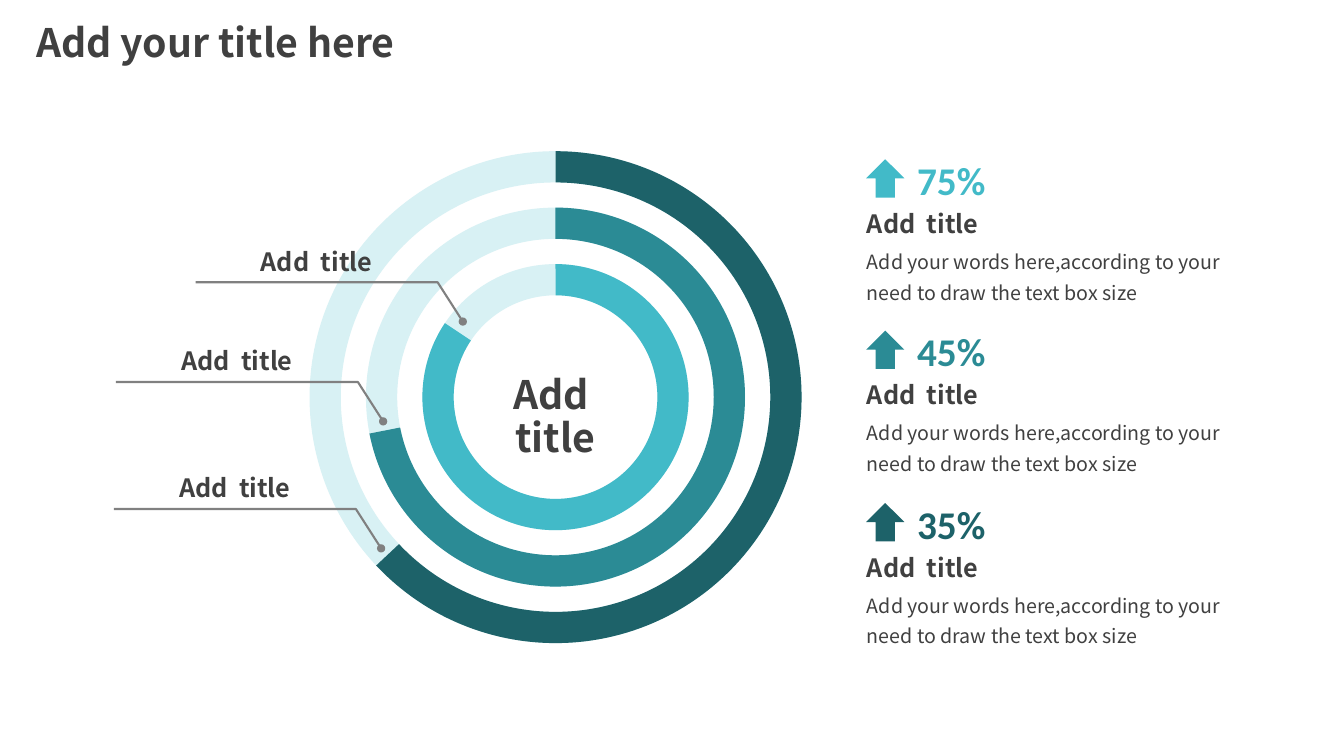
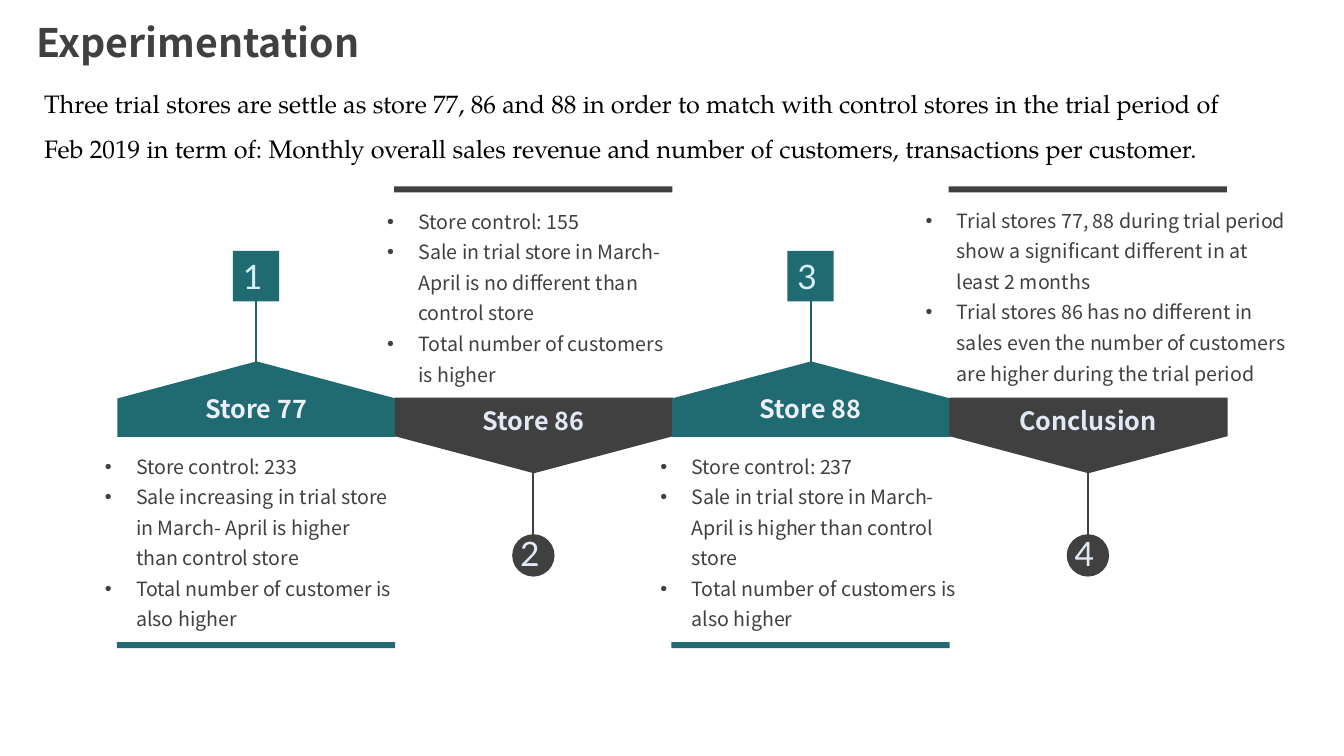
from dataclasses import dataclass

from lxml.etree import SubElement
from pptx import Presentation
from pptx.dml.color import RGBColor
from pptx.enum.shapes import MSO_CONNECTOR, MSO_SHAPE
from pptx.enum.text import MSO_ANCHOR, MSO_AUTO_SIZE, PP_ALIGN
from pptx.oxml.ns import qn
from pptx.util import Emu, Pt

EMU_PER_PX = 9144  # 100 px to the inch


@dataclass(frozen=True)
class Theme:
    ink: str = "404040"
    black: str = "000000"
    line_gray: str = "808080"
    track: str = "D8F1F4"
    aqua: str = "42BAC8"
    teal: str = "2B8B95"
    deep_teal: str = "1D6269"
    banner_teal: str = "206A72"
    pale_blue: str = "E2E9F6"
    ice: str = "EBF0F9"
    sans: str = "Noto Sans CJK SC"
    serif: str = "TeX Gyre Pagella"
    figure_font: str = "Calibri"
    number_font: str = "Lato"
    title_size: int = 28
    number_size: int = 24
    heading_size: int = 18
    body_size: int = 14
    line_width: float = 1.5


THEME = Theme()


@dataclass(frozen=True)
class Box:
    left: int
    top: int
    width: int
    height: int


@dataclass(frozen=True)
class Ring:
    radius: int
    end_angle: float
    color: str


@dataclass(frozen=True)
class Callout:
    left: int
    top: int


@dataclass(frozen=True)
class Metric:
    percent: str
    color: str


@dataclass(frozen=True)
class Stage:
    name: str
    points_up: bool
    list_box: Box
    items: tuple[str, ...]


# Shared drawing functions
def px(length: float) -> Emu:
    return Emu(round(length * EMU_PER_PX))


def bounds(box: Box) -> tuple[Emu, Emu, Emu, Emu]:
    return px(box.left), px(box.top), px(box.width), px(box.height)


def place(shape, box: Box) -> None:
    shape.left, shape.top, shape.width, shape.height = bounds(box)


def write_text(shape, *lines: str, size: int = THEME.body_size, color: str = THEME.ink,
               font: str = THEME.sans, bold: bool = False, align=PP_ALIGN.LEFT,
               anchor=MSO_ANCHOR.TOP, spacing: float = 1.0, before: int = 0,
               bullet_indent: int = 0) -> None:
    frame = shape.text_frame
    frame.word_wrap = True
    frame.auto_size = MSO_AUTO_SIZE.NONE
    frame.vertical_anchor = anchor
    for index, line in enumerate(lines):
        paragraph = frame.add_paragraph() if index else frame.paragraphs[0]
        paragraph.alignment = align
        paragraph.line_spacing = spacing
        paragraph.space_before = Pt(before)
        run = paragraph.add_run()
        run.text = line
        run.font.size = Pt(size)
        run.font.name = font
        run.font.bold = bold
        run.font.color.rgb = RGBColor.from_string(color)
        if bullet_indent:
            properties = paragraph._p.get_or_add_pPr()
            properties.set("marL", str(px(bullet_indent)))
            properties.set("indent", str(-px(bullet_indent)))
            SubElement(properties, qn("a:buChar")).set("char", "•")


def add_text(slide, box: Box, text: str, **text_format) -> None:
    write_text(slide.shapes.add_textbox(*bounds(box)), text, **text_format)


def add_title(slide, text: str) -> None:
    place(slide.shapes.title, Box(26, 18, 756, 52))
    write_text(slide.shapes.title, text, size=THEME.title_size, bold=True, spacing=0.9)


def add_filled(slide, preset, box: Box, color: str, adjustments: tuple[float, ...] = ()):
    shape = slide.shapes.add_shape(preset, *bounds(box))
    shape.shadow.inherit = False
    shape.fill.solid()
    shape.fill.fore_color.rgb = RGBColor.from_string(color)
    shape.line.fill.background()
    for index, value in enumerate(adjustments):
        shape.adjustments[index] = value
    return shape


def style_line(shape, color: str) -> None:
    shape.line.width = Pt(THEME.line_width)
    shape.line.color.rgb = RGBColor.from_string(color)


# Ring slide
RING_CENTER = (551, 394)
RING_THICKNESS = 31
ANGLE_UNIT = 0.6  # adjustment units per degree
RINGS = (
    Ring(244, 136.8, THEME.deep_teal),
    Ring(188, 168.9, THEME.teal),
    Ring(132, 213.8, THEME.aqua),
)
CALLOUTS = (Callout(194, 280), Callout(115, 379), Callout(113, 505))
METRICS = (Metric("75%", THEME.aqua), Metric("45%", THEME.teal),
           Metric("35%", THEME.deep_teal))
METRIC_TOP, METRIC_PITCH = 150, 170.5


def add_ring(slide, ring: Ring) -> None:
    center_x, center_y = RING_CENTER
    diameter = 2 * ring.radius
    box = Box(center_x - ring.radius, center_y - ring.radius, diameter, diameter)
    thickness = RING_THICKNESS / diameter
    add_filled(slide, MSO_SHAPE.DONUT, box, THEME.track, (thickness,))
    add_filled(slide, MSO_SHAPE.BLOCK_ARC, box, ring.color,
               (270 * ANGLE_UNIT, ring.end_angle * ANGLE_UNIT, thickness))


def add_callout(slide, callout: Callout) -> None:
    left, top = callout.left, callout.top
    builder = slide.shapes.build_freeform(px(left + 265), px(top + 39))
    builder.add_line_segments([(px(left + 240), px(top)), (px(left), px(top))], close=False)
    leader = builder.convert_to_shape()
    leader.shadow.inherit = False
    leader.fill.background()
    style_line(leader, THEME.line_gray)
    SubElement(leader.line._get_or_add_ln(), qn("a:headEnd")).set("type", "oval")
    add_text(slide, Box(left, top - 50, 240, 49), "Add  title", size=THEME.heading_size,
             bold=True, align=PP_ALIGN.CENTER, spacing=1.3, before=10)


def add_metric(slide, metric: Metric, top: int) -> None:
    add_filled(slide, MSO_SHAPE.UP_ARROW, Box(859, top + 8, 38, 38), metric.color)
    add_text(slide, Box(896, top, 95, 57), metric.percent, size=THEME.title_size,
             color=metric.color, font=THEME.figure_font, bold=True,
             align=PP_ALIGN.CENTER, before=10)
    add_text(slide, Box(850, top + 55, 258, 37), "Add  title", size=THEME.heading_size,
             bold=True, spacing=0.9, before=10)
    add_text(slide, Box(850, top + 86, 371, 71),
             "Add your words here,according to your need to draw the text box size",
             spacing=1.3)


def build_ring_slide(presentation) -> None:
    slide = presentation.slides.add_slide(presentation.slide_layouts.get_by_name("Title Only"))
    add_title(slide, "Add your title here")
    for ring in RINGS:
        add_ring(slide, ring)
    for callout in CALLOUTS:
        add_callout(slide, callout)
    for index, metric in enumerate(METRICS):
        add_metric(slide, metric, round(METRIC_TOP + index * METRIC_PITCH))
    add_text(slide, Box(461, 368, 180, 95), "Add  title", size=THEME.title_size,
             bold=True, align=PP_ALIGN.CENTER, spacing=0.9, before=10)


# Experimentation slide
STAGE_LEFT, STAGE_PITCH, STAGE_WIDTH = 116, 275, 276
PLATE_HEIGHT = 75
STAGES = (
    Stage("Store 77", True, Box(94, 439, 308, 193), (
        "Store control: 233",
        "Sale increasing in trial store in March- April is higher than control store",
        "Total number of customer is also higher")),
    Stage("Store 86", False, Box(374, 196, 311, 193), (
        "Store control: 155",
        "Sale in trial store in March- April is no different than control store",
        "Total number of customers is higher")),
    Stage("Store 88", True, Box(645, 439, 318, 224), (
        "Store control: 237",
        "Sale in trial store in March- April is higher than control store",
        "Total number of customers is also higher")),
    Stage("Conclusion", False, Box(908, 195, 387, 193), (
        "Trial stores 77, 88 during trial period show a significant different "
        "in at least 2 months",
        "Trial stores 86 has no different in sales even the number of customers "
        "are higher during the trial period")),
)


def add_stem(slide, x: int, start: int, end: int, color: str) -> None:
    stem = slide.shapes.add_connector(MSO_CONNECTOR.STRAIGHT, px(x), px(start), px(x), px(end))
    style_line(stem, color)
    SubElement(stem._element.spPr, qn("a:effectLst"))


def add_stage(slide, stage: Stage, index: int) -> None:
    left = STAGE_LEFT + index * STAGE_PITCH
    center = left + STAGE_WIDTH // 2
    if stage.points_up:
        fill, name_color, number_color = THEME.banner_teal, THEME.ice, THEME.track
        plate_middle, rotation, name_top, bar_top, number_top = 396, 270, 389, 637, 249
        add_stem(slide, center, 292, 376, THEME.deep_teal)
        add_filled(slide, MSO_SHAPE.RECTANGLE, Box(center - 23, 249, 46, 50), fill)
    else:
        fill, name_color, number_color = THEME.ink, THEME.pale_blue, THEME.pale_blue
        plate_middle, rotation, name_top, bar_top, number_top = 432, 90, 401, 185, 524
        add_stem(slide, center, 536, 452, fill)
        add_filled(slide, MSO_SHAPE.OVAL, Box(center - 21, 530, 42, 42), fill)
    add_text(slide, Box(center - 23, number_top, 46, 50), str(index + 1),
             size=THEME.number_size, color=number_color, font=THEME.number_font)
    add_filled(slide, MSO_SHAPE.RECTANGLE, Box(left, bar_top, STAGE_WIDTH, 6), fill)
    # The plate is laid flat, then turned to point up or down
    plate_box = Box(center - PLATE_HEIGHT // 2, plate_middle - STAGE_WIDTH // 2,
                    PLATE_HEIGHT, STAGE_WIDTH)
    plate = add_filled(slide, MSO_SHAPE.PENTAGON, plate_box, fill, (0.49,))
    plate.rotation = rotation
    add_text(slide, Box(center - 116, name_top, 232, 37), stage.name,
             size=THEME.heading_size, color=name_color, bold=True,
             align=PP_ALIGN.CENTER, spacing=0.9, before=10)


def build_experiment_slide(presentation) -> None:
    slide = presentation.slides.add_slide(presentation.slide_layouts.get_by_name("Comparison"))
    add_title(slide, "Experimentation")
    add_text(slide, Box(34, 67, 1225, 101),
             "Three trial stores are settle as store 77, 86 and 88 in order to match with "
             "control stores in the trial period of Feb 2019 in term of: Monthly overall "
             "sales revenue and number of customers, transactions per customer.",
             size=THEME.heading_size, color=THEME.black, font=THEME.serif,
             anchor=MSO_ANCHOR.MIDDLE, spacing=1.5)
    bodies = list(slide.placeholders)[1:]
    for index, (stage, body) in enumerate(zip(STAGES, bodies)):
        add_stage(slide, stage, index)
        place(body, stage.list_box)
        write_text(body, *stage.items, spacing=1.3, bullet_indent=31)


def main() -> None:
    presentation = Presentation()
    presentation.slide_width, presentation.slide_height = px(1333), px(750)
    build_ring_slide(presentation)
    build_experiment_slide(presentation)
    presentation.save("out.pptx")


if __name__ == "__main__":
    main()
